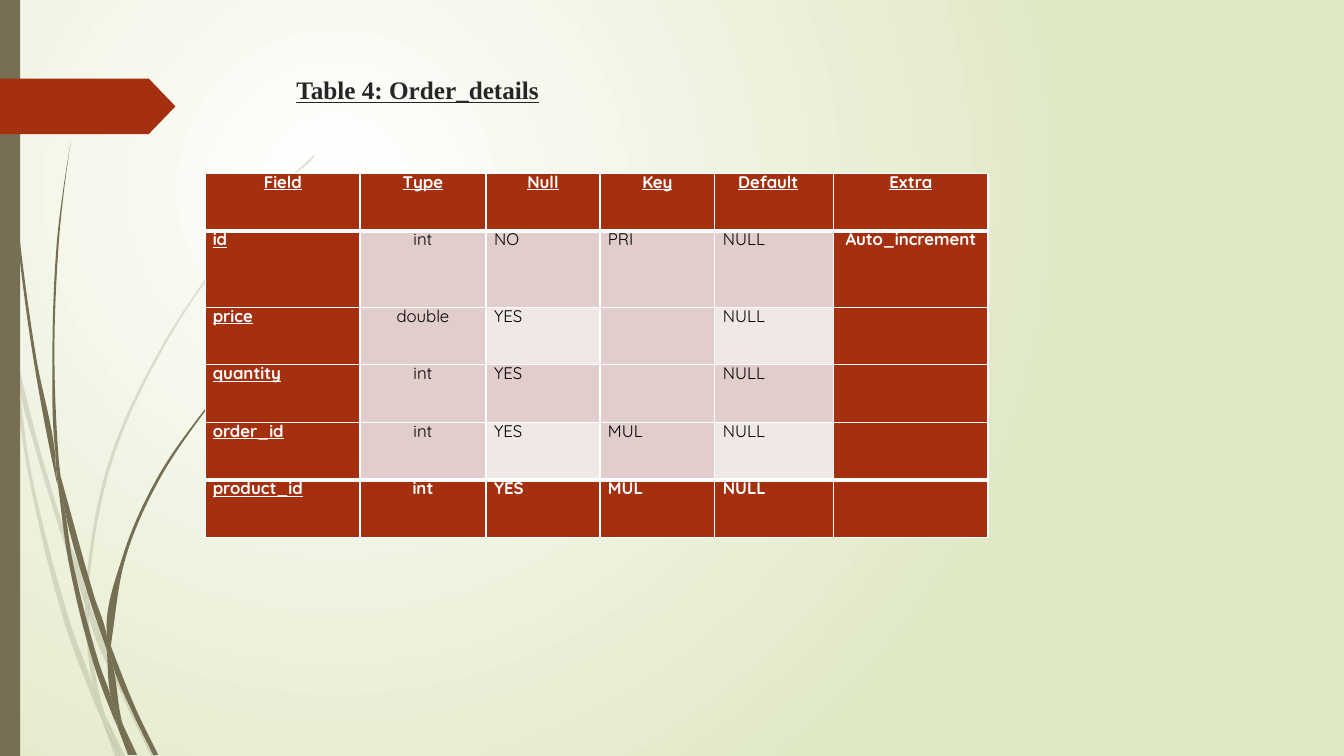
from dataclasses import dataclass

from lxml.etree import SubElement
from pptx import Presentation
from pptx.dml.color import RGBColor
from pptx.enum.shapes import MSO_SHAPE as Shape
from pptx.enum.text import MSO_ANCHOR as Anchor, PP_ALIGN as Align
from pptx.oxml.ns import qn
from pptx.util import Inches, Pt


@dataclass(frozen=True)
class Theme:
    accent: str = "A53010"
    stem: str = "766F54"
    title: str = "262626"
    body: str = "000000"
    white: str = "FFFFFF"
    band: str = "E1CDCC"
    light_band: str = "F0E8E7"
    backdrop: str = "DFE8C4"
    title_font: str = "Times New Roman"
    table_font: str = "Quicksand"
    title_size: float = 18
    table_size: float = 12
    line_height: float = 13.6
    rule: float = 1
    heavy_rule: float = 3


THEME = Theme()

# Corner and curve points of the closed outlines that make up the grass.
PALE_GRASS = [
    [(0.11, 3.5), (0.09, 3.22), (0, 2.82), (0, 2.99), (0.1, 3.44)],
    [(0.58, 5.22), (0.84, 5.99), (0.85, 5.86), (0.62, 5.2), (0.36, 4.33), (0.14, 3.45),
     (0.17, 3.76), (0.36, 4.49)],
    [(0.92, 6.07), (0.88, 5.96), (0.88, 6.1), (1.23, 6.94), (1.5, 7.5), (1.55, 7.5), (1.27, 6.92)],
    [(1.19, 7.5), (1.24, 7.5), (1.05, 7.11)],
    [(0.93, 6.83), (0.7, 6.19), (0.31, 4.69), (0.17, 3.76), (0.11, 3.5), (0.28, 4.7),
     (0.65, 6.21), (0.92, 6.93), (1.01, 7.14), (0.99, 7.07)],
    [(0.84, 5.99), (0.87, 6.46), (0.93, 6.83), (0.96, 6.92), (1.05, 7.11), (1.03, 7.06),
     (0.91, 6.46), (0.88, 6.1), (0.88, 6.08)],
    [(0.88, 5.84), (1.1, 4.62), (1.6, 3.49), (2.29, 2.45), (2.68, 1.98), (2.9, 1.75),
     (3.12, 1.54), (3.12, 1.53), (2.89, 1.75), (2.68, 1.97), (2.28, 2.44), (1.58, 3.48),
     (1.07, 4.61), (0.85, 5.84), (0.85, 5.86), (0.88, 5.96)],
    [(1.01, 7.14), (1.14, 7.5), (1.19, 7.5)],
    [(0.88, 6.08), (0.88, 6.1), (0.88, 5.96), (0.85, 5.86), (0.84, 5.99)],
    [(0.96, 6.92), (0.93, 6.83), (0.99, 7.07), (1.01, 7.14), (1.19, 7.5), (1.05, 7.11)],
]
DARK_GRASS = [
    [(0.07, 1.1), (0.17, 2.33), (0.33, 3.55), (0.56, 4.77), (0.57, 4.81), (0.55, 4.57),
     (0.55, 4.53), (0.36, 3.55), (0.19, 2.32), (0.08, 1.09), (0.05, 0.48), (0.04, 0),
     (0.03, 0), (0.04, 0.48)],
    [(0.88, 5.92), (1.06, 6.45), (1.06, 6.33), (1.06, 6.31), (0.93, 5.9), (0.6, 4.72), (0.64, 5.05)],
    [(1.13, 6.49), (1.1, 6.41), (1.11, 6.56), (1.32, 7.08), (1.52, 7.49), (1.57, 7.49), (1.36, 7.06)],
    [(1.1, 6.91), (0.98, 6.57), (0.72, 5.56), (0.64, 5.05), (0.57, 4.77), (0.68, 5.57),
     (0.93, 6.59), (1.11, 7.08), (1.17, 7.22), (1.16, 7.17)],
    [(0.6, 4.72), (0.58, 4.53), (0.54, 3.49), (0.58, 2.45), (0.63, 1.93), (0.7, 1.41),
     (0.62, 1.93), (0.56, 2.45), (0.52, 3.49), (0.55, 4.49)],
    [(1.33, 7.49), (1.36, 7.49), (1.22, 7.19)],
    [(0.57, 4.77), (0.64, 5.05), (0.6, 4.72), (0.55, 4.49), (0.55, 4.53)],
    [(1.11, 6.33), (1.25, 5.52), (1.58, 4.76), (2.05, 4.06), (2.31, 3.74), (2.45, 3.59),
     (2.61, 3.44), (2.6, 3.44), (2.45, 3.58), (2.31, 3.73), (2.04, 4.05), (1.56, 4.74),
     (1.22, 5.51), (1.06, 6.31), (1.1, 6.41)],
    [(1.17, 7.22), (1.27, 7.49), (1.31, 7.49)],
    [(1.06, 6.45), (1.1, 6.91), (1.16, 7.06), (1.22, 7.19), (1.21, 7.16), (1.11, 6.56), (1.09, 6.51)],
    [(1.06, 6.45), (1.09, 6.51), (1.11, 6.56), (1.1, 6.41), (1.06, 6.31), (1.06, 6.33)],
    [(1.16, 7.06), (1.1, 6.91), (1.16, 7.17), (1.17, 7.22), (1.3, 7.49), (1.33, 7.49), (1.22, 7.19)],
]

ORDER_DETAILS = [
    ["Field", "Type", "Null", "Key", "Default", "Extra"],
    ["id", "int", "NO", "PRI", "NULL", "Auto_increment"],
    ["price", "double", "YES", "", "NULL", ""],
    ["quantity", "int", "YES", "", "NULL", ""],
    ["order_id", "int", "YES", "MUL", "NULL", ""],
    ["product_id", "int", "YES", "MUL", "NULL", ""],
]
COLUMN_WIDTHS = [1.53, 1.25, 1.13, 1.14, 1.18, 1.53]
ROW_HEIGHTS = [0.57, 0.76, 0.57, 0.57, 0.57, 0.57]
HEADER_INDENTS = [0.05, 0.06, 0.29, 0.31, 0.23, 0.05]
BODY_INDENTS = [0.07, 0.06, 0.08, 0.08, 0.08, 0.05]
HEADER_CENTRED = {0, 1, 2, 3, 5}
BODY_CENTRED = {1, 5}


def rgb(code):
    return RGBColor.from_string(code)


def paint(shape, color, opacity=100):
    shape.shadow.inherit = False
    shape.fill.solid()
    shape.fill.fore_color.rgb = rgb(color)
    shape.line.fill.background()
    if opacity < 100:
        tint = shape._element.spPr.find(".//" + qn("a:srgbClr"))
        SubElement(tint, qn("a:alpha"), val=str(opacity * 1000))


def add_run(paragraph, text, font, size, color, bold, underline):
    run = paragraph.add_run()
    run.text = text
    run.font.name, run.font.size = font, Pt(size)
    run.font.color.rgb = rgb(color)
    run.font.bold, run.font.underline = bold, underline


def round_off(freeform):
    """Turn the straight sides into curves, keeping the sharp corners."""
    sides = list(freeform._element.iter(qn("a:lnTo")))
    ends = [complex(int(side[0].get("x")), int(side[0].get("y"))) for side in sides]
    count = len(ends)
    chords = [ends[i] - ends[i - 1] for i in range(count)]
    units = [chord / abs(chord) for chord in chords]

    def heading(corner, side):
        before, after = units[corner], units[(corner + 1) % count]
        turn = before + after
        return turn / abs(turn) if abs(turn) > 1.7 else units[side]

    for i, side in enumerate(sides):
        reach = abs(chords[i]) / 3
        near = ends[i - 1] + heading((i - 1) % count, i) * reach
        far = ends[i] - heading(i, i) * reach
        side.tag = qn("a:cubicBezTo")
        side.remove(side[0])
        for knot in (near, far, ends[i]):
            SubElement(side, qn("a:pt"), x=str(round(knot.real)), y=str(round(knot.imag)))


def add_grass(slide, outlines, opacity):
    for outline in outlines:
        start, *others = [(Inches(x), Inches(y)) for x, y in outline]
        builder = slide.shapes.build_freeform(*start)
        builder.add_line_segments(others + [start], close=True)
        piece = builder.convert_to_shape()
        round_off(piece)
        paint(piece, THEME.stem, opacity)


def add_backdrop(slide):
    fill = slide.background.fill
    fill.gradient()
    for stop, color in zip(fill.gradient_stops, (THEME.white, THEME.backdrop)):
        stop.color.rgb = rgb(color)
    gradient = slide._element.find(".//" + qn("a:gradFill"))
    gradient.remove(gradient.find(qn("a:lin")))
    circle = SubElement(gradient, qn("a:path"), {"path": "circle"})
    SubElement(circle, qn("a:fillToRect"), l="50000", t="50000", r="100000", b="100000")


def add_block(slide, kind, color, left, top, width, height):
    block = slide.shapes.add_shape(kind, Inches(left), Inches(top), Inches(width), Inches(height))
    paint(block, color)
    return block


def add_title(slide, text, left, top, width, height):
    frame = slide.shapes.add_textbox(
        Inches(left), Inches(top), Inches(width), Inches(height)).text_frame
    frame.word_wrap = True
    frame.vertical_anchor = Anchor.TOP
    add_run(frame.paragraphs[0], text, THEME.title_font, THEME.title_size, THEME.title, True, True)


def add_borders(cell, top, bottom):
    properties = cell._tc.get_or_add_tcPr()
    for side, width in (("L", THEME.rule), ("R", THEME.rule), ("T", top), ("B", bottom)):
        line = SubElement(properties, qn("a:ln" + side), w=str(Pt(width)))
        SubElement(SubElement(line, qn("a:solidFill")), qn("a:srgbClr"), val=THEME.white)


def fill_cell(cell, text, row, column):
    last_row, last_column = len(ORDER_DETAILS) - 1, len(COLUMN_WIDTHS) - 1
    header = row == 0
    emphasis = row in (0, last_row) or column in (0, last_column)
    light = row % 2 == 0 and column in (2, 4)
    add_borders(cell,
                top=THEME.heavy_rule if row in (1, last_row) else THEME.rule,
                bottom=THEME.heavy_rule if row in (0, last_row - 1) else THEME.rule)
    cell.fill.solid()
    cell.fill.fore_color.rgb = rgb(
        THEME.accent if emphasis else THEME.light_band if light else THEME.band)
    cell.margin_left = cell.margin_right = cell.margin_top = cell.margin_bottom = 0
    if not text:
        return
    paragraph = cell.text_frame.paragraphs[0]
    centred = column in (HEADER_CENTRED if header else BODY_CENTRED)
    paragraph.alignment = Align.CENTER if centred else Align.LEFT
    paragraph.line_spacing = Pt(THEME.line_height)
    indent = str(Inches((HEADER_INDENTS if header else BODY_INDENTS)[column]))
    for side in ("marL", "marR") if centred else ("marL",):
        paragraph._p.get_or_add_pPr().set(side, indent)
    add_run(paragraph, text, THEME.table_font, THEME.table_size,
            THEME.white if emphasis else THEME.body, emphasis, header or column == 0)


def add_order_table(slide, left, top):
    table = slide.shapes.add_table(
        len(ROW_HEIGHTS), len(COLUMN_WIDTHS), Inches(left), Inches(top),
        Inches(sum(COLUMN_WIDTHS)), Inches(sum(ROW_HEIGHTS))).table
    for column, width in zip(table.columns, COLUMN_WIDTHS):
        column.width = Inches(width)
    for row, (height, texts) in enumerate(zip(ROW_HEIGHTS, ORDER_DETAILS)):
        table.rows[row].height = Inches(height)
        for column, text in enumerate(texts):
            fill_cell(table.cell(row, column), text, row, column)


def main():
    deck = Presentation()
    deck.slide_width, deck.slide_height = Inches(13.33), Inches(7.5)
    slide = deck.slides.add_slide(deck.slide_layouts[6])
    add_backdrop(slide)
    add_grass(slide, PALE_GRASS, opacity=20)
    add_grass(slide, DARK_GRASS, opacity=100)
    add_block(slide, Shape.RECTANGLE, THEME.stem, 0, 0, 0.2, 7.5)
    add_block(slide, Shape.PENTAGON, THEME.accent, 0, 0.78, 1.74, 0.55).adjustments[0] = 0.48
    add_title(slide, "Table 4: Order_details", 2.84, 0.69, 9.75, 1.4)
    add_order_table(slide, 2.04, 1.72)
    deck.save("out.pptx")


if __name__ == "__main__":
    main()
